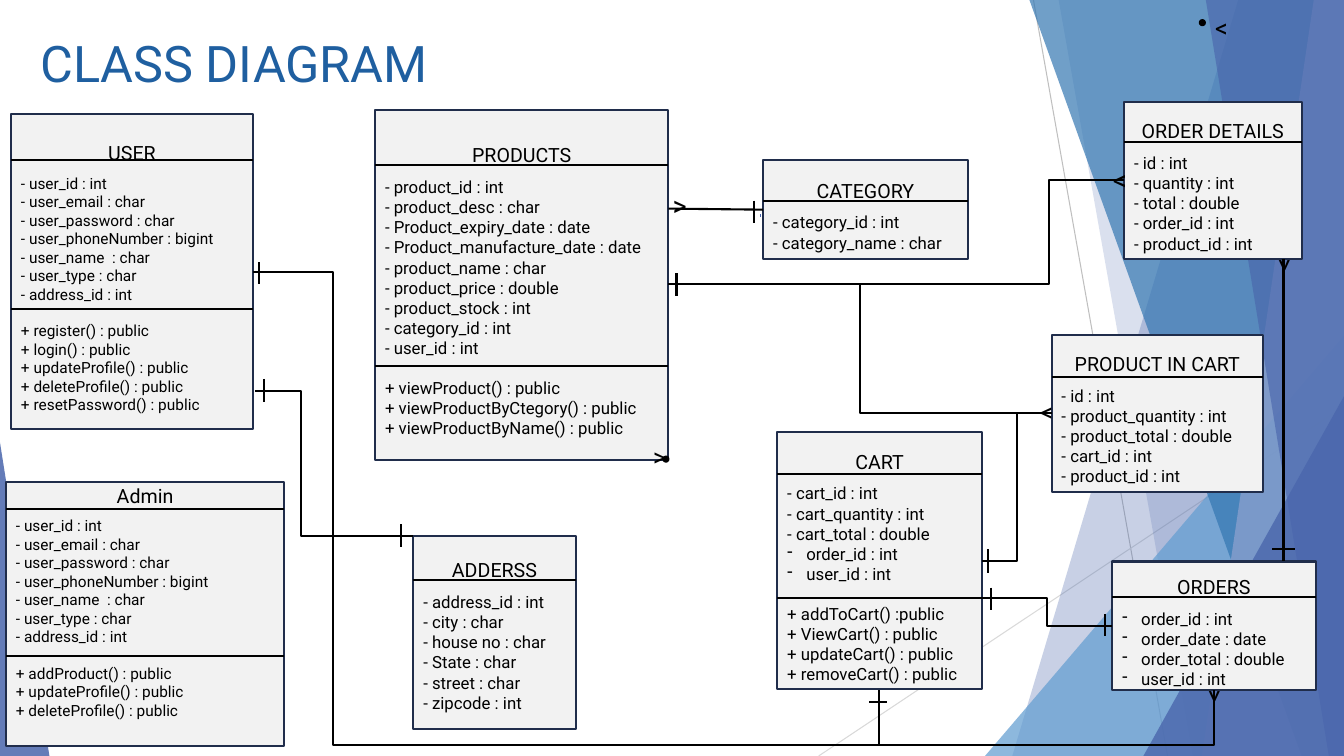
from lxml import etree
from pptx import Presentation
from pptx import util as u
from pptx.dml.color import RGBColor
from pptx.enum import shapes, text
from pptx.oxml import ns

PX = 9144
WIDE, HIGH = 1333, 750
FONT = "Roboto"
BLACK = RGBColor(0, 0, 0)
PALE = RGBColor(0xF2, 0xF2, 0xF2)
EDGE = RGBColor(0x20, 0x2D, 0x4B)
TITLE = RGBColor(0x1F, 0x5F, 0xA0)
BLUE = RGBColor(0x4A, 0x66, 0xAC)
SKY = RGBColor(0x62, 0x9D, 0xD1)
TEAL = RGBColor(0x34, 0x77, 0xB2)
LILAC = RGBColor(0x90, 0xA2, 0xCF)
GREY = RGBColor(0xBF, 0xBF, 0xBF)
LIGHT = RGBColor(0xD9, 0xD9, 0xD9)

RAYS = [((1025, 0, 1158, 750), GREY), ((1333, 403, 812, 750), LIGHT)]
FACETS = [
    ("free", (1228, 1004), BLUE, 30),
    ("free", (1050, 1183), BLUE, 20),
    ("tri", (977, 333, 356, 417, 1), SKY, 72),
    ("free", (1021, 1291), TEAL, 70),
    ("free", (1303, 1192), LILAC, 70),
    ("free", (1196, 1318), BLUE, 65),
    ("tri", (1134, 393, 199, 357, 1), BLUE, 80),
    ("tri", (0, 439, 49, 311, 0), BLUE, 85),
]

LOGIN = ["- user_id : int", "- user_email : char", "- user_password : char",
         "- user_phoneNumber : bigint", "- user_name  : char",
         "- user_type : char", "- address_id : int"]
TABLES = [
    ("ADDERSS", (410, 532, 161, 191), 12, (43,), 11,
     ["- address_id : int", "- city : char", "- house no : char",
      "- State : char", "- street : char", "- zipcode : int"], []),
    ("USER", (11, 113, 240, 313), 11, (46, 194), 5, LOGIN,
     ["+ register() : public", "+ login() : public",
      "+ updateProfile() : public", "+ deleteProfile() : public",
      "+ resetPassword() : public"]),
    ("CATEGORY", (757, 159, 203, 98), 12, (40,), 5,
     ["- category_id : int", "- category_name : char"], []),
    ("PRODUCTS", (372, 109, 291, 347), 12, (55, 254), 5,
     ["- product_id : int", "- product_desc : char",
      "- Product_expiry_date : date", "- Product_manufacture_date : date",
      "- product_name : char", "- product_price : double",
      "- product_stock : int", "- category_id : int", "- user_id : int"],
     ["+ viewProduct() : public", "+ viewProductByCtegory() : public",
      "+ viewProductByName() : public"]),
    ("PRODUCT IN CART", (1043, 332, 210, 156), 12, (42,), 5,
     ["- id : int", "- product_quantity : int", "- product_total : double",
      "- cart_id : int", "- product_id : int"], []),
    ("CART", (771, 429, 203, 255), 12, (41, 164), 5,
     ["- cart_id : int", "- cart_quantity : int", "- cart_total : double",
      "•order_id : int", "•user_id : int"],
     ["+ addToCart() :public", "+ ViewCart() : public",
      "+ updateCart() : public", "+ removeCart() : public"]),
    ("ORDERS", (1103, 557, 202, 128), 12, (35,), 5,
     ["•order_id : int", "•order_date : date", "•order_total : double",
      "•user_id : int"], []),
    ("ORDER DETAILS", (1115, 101, 176, 156), 12, (40,), 5,
     ["- id : int", "- quantity : int", "- total : double",
      "- order_id : int", "- product_id : int"], []),
    ("Admin", (6, 478, 276, 262), 11, (27, 173), 41, LOGIN,
     ["+ addProduct() : public", "+ updateProfile() : public",
      "+ deleteProfile() : public"]),
]

BENDS = [
    ((251, 270, 872, 685), 4, (12700, 113000)),
    ((974, 593, 1103, 621), 3, (50000,)),
    ((974, 557, 1043, 410), 3, (50000,)),
    ((663, 282, 1043, 410), 3, (50000,)),
    ((663, 282, 1115, 179), 3, (83500,)),
    ((253, 388, 410, 532), 3, (28800,)),
    ((872, 739, 1204, 685), 2, ()),
]
TICKS = [
    (398, 520, 398, 543), (257, 260, 257, 282), (748, 199, 748, 221),
    (671, 271, 671, 294), (980, 545, 980, 568), (1096, 609, 1096, 631),
    (1284, 545, 1262, 545), (262, 376, 262, 399), (862, 696, 880, 696),
    (983, 583, 983, 605),
]
CROWS = [
    ((636, 437, 34, 40), 180, 18), ((671, 186, 13, 44), 180, 20),
    ((1196, 7, 19, 40), 0, 18), ((1022, 388, 28, 40), 0, 18),
    ((1254, 241, 36, 40), 270, 18), ((1094, 156, 20, 44), 0, 20),
    ((1151, 635, 103, 40), 270, 18),
]
DOTS = [(658, 453, 5, 5), (1190, 20, 5, 5)]


def emu(box):
    return [n * PX for n in box]


def put(thing, **vals):
    for name, val in vals.items():
        setattr(thing, name, val)


def paint(shape, fill, edge=None, alpha=100):
    shape.shadow.inherit = False
    shape.fill.solid()
    shape.fill.fore_color.rgb = fill
    if alpha < 100:
        tint = shape.element.spPr.find(".//" + ns.qn("a:srgbClr"))
        etree.SubElement(tint, ns.qn("a:alpha"), val=str(alpha * 1000))
    if edge is None:
        shape.line.fill.background()
    else:
        shape.line.color.rgb = edge
        shape.line.width = u.Pt(1.5)


def write(para, words, size, color=BLACK, **vals):
    put(para, **vals)
    run = para.add_run()
    run.text = words
    put(run.font, name=FONT, size=u.Pt(size))
    run.font.color.rgb = color


def draw_line(slide, ends, color=BLACK, width=1.5, kind="STRAIGHT"):
    line = slide.shapes.add_connector(
        getattr(shapes.MSO_CONNECTOR, kind), *emu(ends))
    line.line.color.rgb = color
    line.line.width = u.Pt(width)
    etree.SubElement(line.element.spPr, ns.qn("a:effectLst"))
    return line


def draw_bend(slide, ends, kind, turns):
    line = draw_line(slide, ends, kind="ELBOW")
    geom = line.element.spPr.find(ns.qn("a:prstGeom"))
    geom.set("prst", f"bentConnector{kind}")
    guides = geom.find(ns.qn("a:avLst"))
    for i, turn in enumerate(turns, 1):
        etree.SubElement(guides, ns.qn("a:gd"), name=f"adj{i}",
                         fmla=f"val {turn}")


def draw_back(slide, wide, high):
    for ends, color in RAYS:
        draw_line(slide, ends, color, 0.75)
    for kind, place, color, alpha in FACETS:
        if kind == "free":
            top, foot = place
            path = slide.shapes.build_freeform(top, 0, PX)
            path.add_line_segments([(wide, 0), (wide, high), (foot, high)])
            facet = path.convert_to_shape()
        else:
            *box, tip = place
            facet = slide.shapes.add_shape(
                shapes.MSO_SHAPE.ISOSCELES_TRIANGLE, *emu(box))
            facet.adjustments[0] = tip
        paint(facet, color, alpha=alpha)


def draw_title(slide, box):
    title = slide.shapes.title
    put(title, **dict(zip(("left", "top", "width", "height"), emu(box))))
    put(title.text_frame, word_wrap=True, auto_size=text.MSO_AUTO_SIZE.NONE,
        vertical_anchor=text.MSO_ANCHOR.BOTTOM)
    write(title.text_frame.paragraphs[0], "CLASS DIAGRAM", 36, TITLE,
          alignment=text.PP_ALIGN.LEFT)


def add_dash(para):
    props = para._p.get_or_add_pPr()
    props.set("marL", str(19 * PX))
    props.set("indent", str(-19 * PX))
    etree.SubElement(props, ns.qn("a:buChar"), char="-")


def draw_class(slide, name, box, size, cuts, foot, fields, calls):
    card = slide.shapes.add_shape(shapes.MSO_SHAPE.RECTANGLE, *emu(box))
    paint(card, PALE, EDGE)
    frame = card.text_frame
    put(frame, word_wrap=True, vertical_anchor=text.MSO_ANCHOR.MIDDLE,
        margin_bottom=foot * PX)
    write(frame.paragraphs[0], name, 14, alignment=text.PP_ALIGN.CENTER,
          line_spacing=1.5)
    for i, row in enumerate(fields + calls):
        vals = {"alignment": text.PP_ALIGN.LEFT}
        if i == 0:
            vals["line_spacing"] = 1.5
        if i == len(fields):
            vals["space_before"] = u.Pt(size + 2)
        para = frame.add_paragraph()
        write(para, row.lstrip("•"), size, **vals)
        if row.startswith("•"):
            add_dash(para)
    return card


def draw_cuts(slide, box, cuts):
    left, top, wide, _ = box
    for cut in cuts:
        draw_line(slide, (left, top + cut, left + wide, top + cut))


def draw_crow(slide, box, turn, size):
    mark = slide.shapes.add_textbox(*emu(box))
    mark.rotation = turn
    put(mark.text_frame, word_wrap=True,
        auto_size=text.MSO_AUTO_SIZE.SHAPE_TO_FIT_TEXT)
    write(mark.text_frame.paragraphs[0], "<", size)


def draw_marks(slide):
    for ends in TICKS:
        draw_line(slide, ends)
    for crow in CROWS:
        draw_crow(slide, *crow)
    for box in DOTS:
        dot = slide.shapes.add_shape(shapes.MSO_SHAPE.OVAL, *emu(box))
        paint(dot, BLACK, BLACK)


def main():
    deck = Presentation()
    put(deck, slide_width=WIDE * PX, slide_height=HIGH * PX)
    slide = deck.slides.add_slide(deck.slide_layouts[5])
    draw_back(slide, WIDE, HIGH)
    draw_title(slide, (30, 20, 1150, 77))
    draw_line(slide, (754, 215, 754, 212), BLUE, 1)
    cards = {row[0]: draw_class(slide, *row) for row in TABLES}
    link = draw_line(slide, (663, 207, 757, 208))
    link.end_connect(cards["CATEGORY"], 1)
    draw_line(slide, (1273, 257, 1273, 557))
    for bend in BENDS:
        draw_bend(slide, *bend)
    for row in TABLES:
        draw_cuts(slide, row[1], row[3])
    draw_marks(slide)
    deck.save("out.pptx")


if __name__ == "__main__":
    main()
